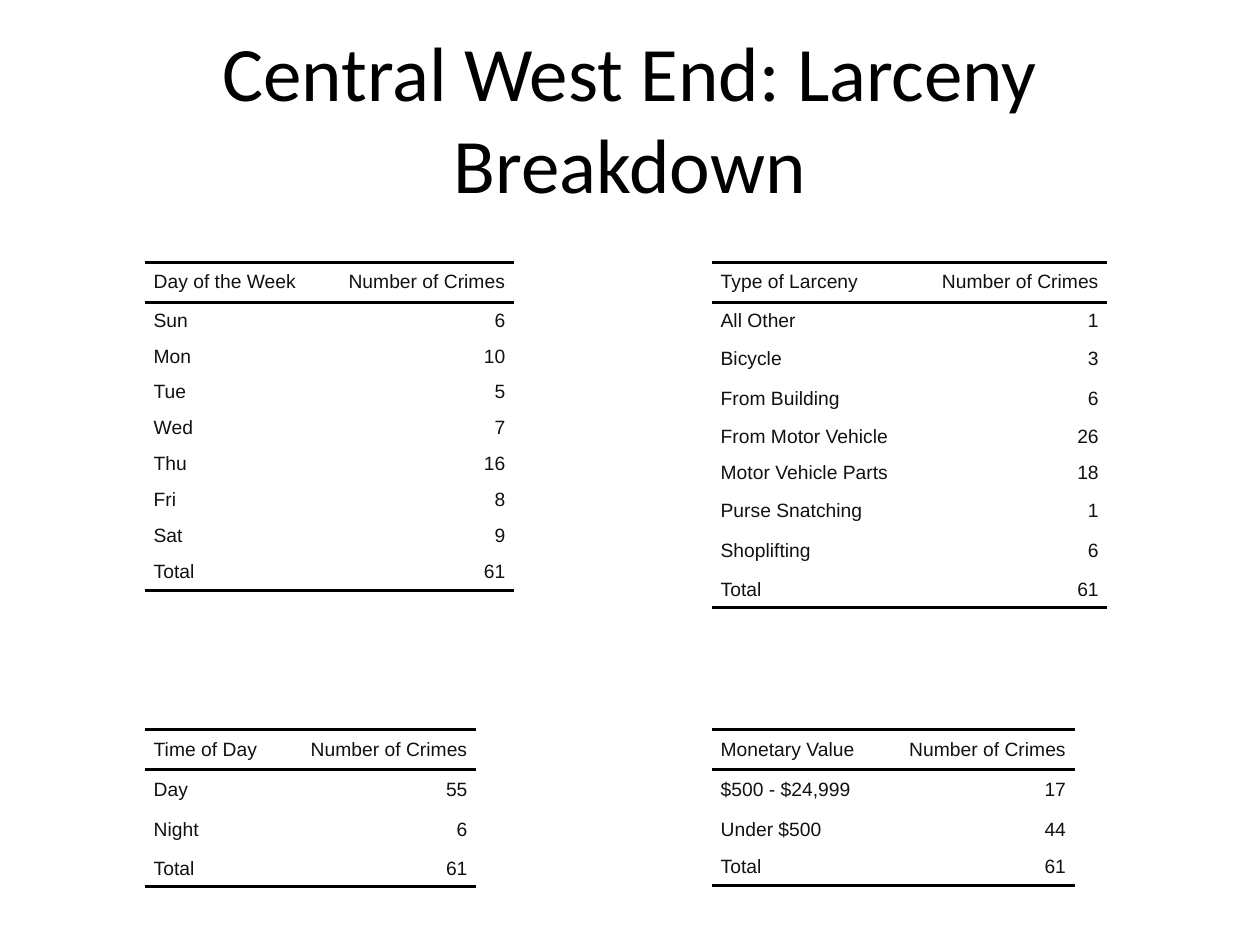
from lxml import etree
from pptx import Presentation
from pptx.dml.color import RGBColor
from pptx.enum.text import MSO_ANCHOR, PP_ALIGN
from pptx.oxml.ns import qn
from pptx.util import Inches, Pt

MIDDLE = MSO_ANCHOR.MIDDLE
LEFT, CENTER, RIGHT = PP_ALIGN.LEFT, PP_ALIGN.CENTER, PP_ALIGN.RIGHT
NO_STYLE_NO_GRID = "{2D5ABB26-0587-4C30-8999-92F81FD0307C}"

LEFT_X, RIGHT_X = 1.15, 5.65
UPPER_Y, LOWER_Y = 2.08, 5.79
COUNT_WIDTH = 1.52
TALL, SHORT = 0.32, 2 / 7

# left, top, label column width, row heights, label heading, counts
TABLES = [
    (LEFT_X, UPPER_Y, 1.41, [TALL] + [SHORT] * 8, "Day of the Week",
     {"Sun": 6, "Mon": 10, "Tue": 5, "Wed": 7, "Thu": 16, "Fri": 8, "Sat": 9}),
    (LEFT_X, LOWER_Y, 1.11, [TALL] * 3 + [SHORT], "Time of Day",
     {"Day": 55, "Night": 6}),
    (RIGHT_X, UPPER_Y, 1.62,
     [TALL, SHORT, TALL, TALL, SHORT, SHORT, TALL, TALL, SHORT], "Type of Larceny",
     {"All Other": 1, "Bicycle": 3, "From Building": 6, "From Motor Vehicle": 26,
      "Motor Vehicle Parts": 18, "Purse Snatching": 1, "Shoplifting": 6}),
    (RIGHT_X, LOWER_Y, 1.36, [TALL, TALL, 0.31, SHORT], "Monetary Value",
     {"$500 - $24,999": 17, "Under $500": 44}),
]


def color(value):
    return RGBColor.from_string(value)


class SlideBuilder:
    title_format = {"name": "Calibri", "size": Pt(44)}
    cell_format = {"name": "Arial", "size": Pt(11)}
    title_color, cell_color, rule_color = "000000", "111111", "000000"
    rule_width = Pt(2)
    cell_margins = {"margin_left": Inches(0.07), "margin_right": Inches(0.07),
                    "margin_top": 0, "margin_bottom": 0}

    def __init__(self, page):
        self.page = page

    def add_text(self, para, text, align, text_format, text_color):
        para.alignment = align
        span = para.add_run()
        span.text = text
        for name, value in text_format.items():
            setattr(span.font, name, value)
        span.font.color.rgb = color(text_color)

    def title(self, text, left, top, width, height):
        box = self.page.shapes.add_textbox(
            Inches(left), Inches(top), Inches(width), Inches(height))
        frame = box.text_frame
        frame.word_wrap = True
        frame.vertical_anchor = MIDDLE
        self.add_text(frame.paragraphs[0], text, CENTER,
                      self.title_format, self.title_color)

    def rule(self, cell, side):
        """Draw a cell border; side is lnT or lnB."""
        line = etree.SubElement(cell._tc.get_or_add_tcPr(), qn(f"a:{side}"),
                                w=str(self.rule_width))
        fill = etree.SubElement(line, qn("a:solidFill"))
        etree.SubElement(fill, qn("a:srgbClr"), val=self.rule_color)

    def cell(self, cell, text, align, sides):
        for name, value in self.cell_margins.items():
            setattr(cell, name, value)
        cell.vertical_anchor = MIDDLE
        for side in sides:
            self.rule(cell, side)
        cell.fill.background()
        self.add_text(cell.text_frame.paragraphs[0], text, align,
                      self.cell_format, self.cell_color)

    def count_table(self, left, top, label_width, heights, heading, counts):
        """Add a table of counts with a heading row and a computed total."""
        rows = [(heading, "Number of Crimes"), *counts.items(),
                ("Total", sum(counts.values()))]
        widths = [label_width, COUNT_WIDTH]
        table = self.page.shapes.add_table(
            len(rows), len(widths), Inches(left), Inches(top),
            Inches(sum(widths)), Inches(sum(heights))).table
        table._tbl.tblPr.find(qn("a:tableStyleId")).text = NO_STYLE_NO_GRID
        table.horz_banding = False
        for column, width in zip(table.columns, widths):
            column.width = Inches(width)
        borders = {0: ["lnT", "lnB"], len(rows) - 1: ["lnB"]}
        for index, (values, height) in enumerate(zip(rows, heights)):
            table.rows[index].height = Inches(height)
            for column, (value, align) in enumerate(zip(values, (LEFT, RIGHT))):
                self.cell(table.cell(index, column), str(value), align,
                          borders.get(index, []))


def main():
    deck = Presentation()
    deck.slide_width, deck.slide_height = Inches(10), Inches(7.5)
    builder = SlideBuilder(deck.slides.add_slide(deck.slide_layouts[6]))
    builder.title("Central West End: Larceny Breakdown", 0.5, 0.3, 9, 1.25)
    for table in TABLES:
        builder.count_table(*table)
    deck.save("out.pptx")


if __name__ == "__main__":
    main()
